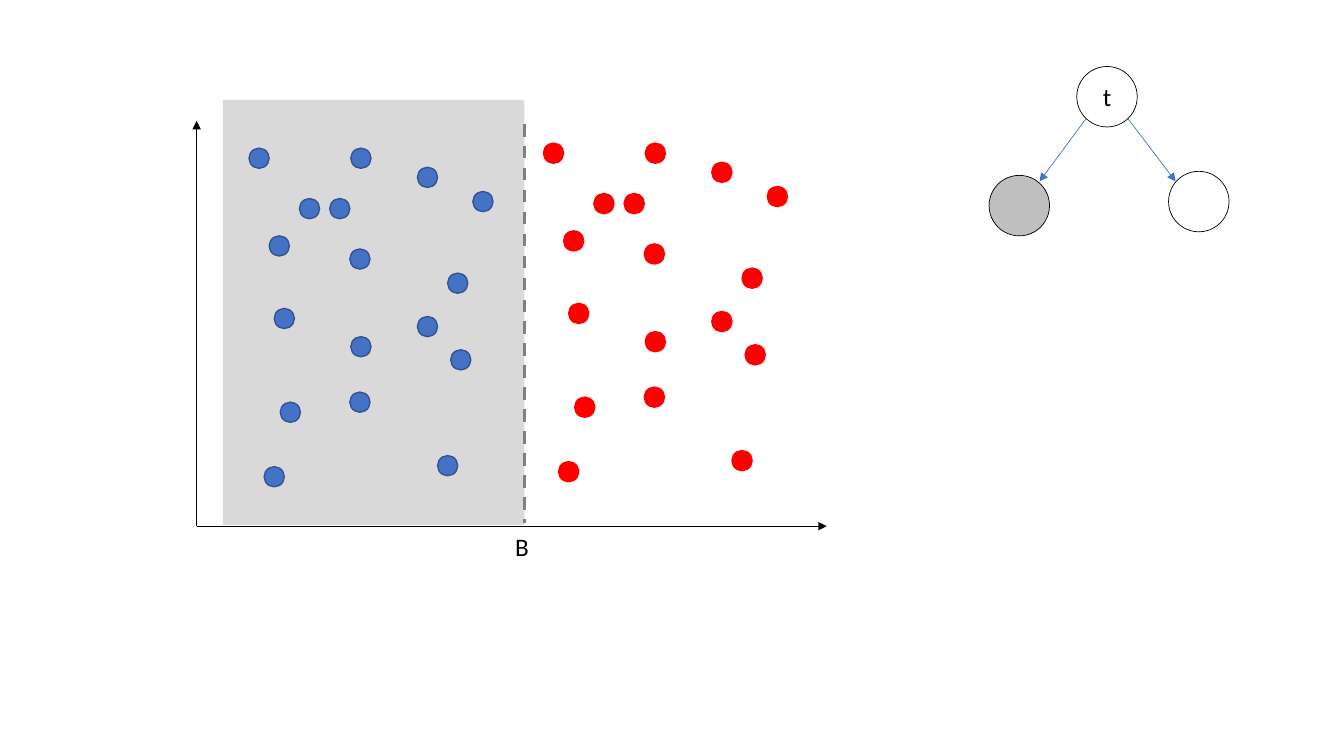
from typing import NamedTuple, Optional

from lxml.etree import SubElement
from pptx import Presentation
from pptx.dml.color import RGBColor
from pptx.enum.dml import MSO_LINE_DASH_STYLE as DASH
from pptx.enum.shapes import MSO_CONNECTOR as CONN, MSO_SHAPE as SHAPE
from pptx.enum.text import MSO_AUTO_SIZE as AUTO
from pptx.oxml.ns import qn
from pptx.util import Inches, Pt

BLACK, GREY, BLUE, RED = "000000", "808080", "4472C4", "FF0000"
DOT_SIZE, NODE_SIZE = 0.2, 0.6
RED_SHIFT = (2.92, -0.05)  # the red cluster repeats the blue one


class Line(NamedTuple):
    start: tuple[float, float]
    end: tuple[float, float]
    color: str = BLACK
    width: float = 0.5
    arrow: bool = True


class Node(NamedTuple):
    x: float
    y: float
    fill: Optional[str] = None


class Label(NamedTuple):
    text: str
    x: float
    y: float
    width: float
    wrap: bool


BLUE_DOTS = [
    (2.47, 1.47), (2.67, 2.34), (3.48, 1.47), (3.27, 1.97), (4.44, 2.71),
    (2.78, 3.99), (2.97, 1.97), (4.14, 1.66), (3.47, 3.89), (3.47, 2.47),
    (3.48, 3.34), (2.72, 3.06), (4.69, 1.9), (4.14, 3.14), (4.34, 4.52),
    (4.47, 3.47), (2.62, 4.63),
]
ORIGIN = (1.95, 5.22)
AXES = [Line(ORIGIN, (1.95, 1.2)), Line(ORIGIN, (8.2, 5.22))]
SPLIT = Line((5.2, 1.23), (5.2, 5.19), GREY, 2.25, arrow=False)
BRANCHES = [
    Line((10.77, 1.18), (10.31, 1.8), BLUE),
    Line((11.19, 1.18), (11.66, 1.8), BLUE),
]
NODES = [Node(10.68, 0.66), Node(9.81, 1.74, "BFBFBF"), Node(11.59, 1.7)]
LABELS = [Label("t", 10.84, 0.76, 0.29, False), Label("B", 5.01, 5.22, 0.37, True)]


def rgb(color: str) -> RGBColor:
    return RGBColor.from_string(color)


def add_shape(s, kind, x: float, y: float, w: float, h: float,
              fill: Optional[str], line: Optional[str] = None, width: float = 1) -> None:
    sp = s.shapes.add_shape(kind, Inches(x), Inches(y), Inches(w), Inches(h))
    sp.shadow.inherit = False
    if fill:
        sp.fill.solid()
        sp.fill.fore_color.rgb = rgb(fill)
    else:
        sp.fill.background()
    if line:
        sp.line.color.rgb = rgb(line)
        sp.line.width = Pt(width)
    else:
        sp.line.fill.background()


def add_line(s, line: Line):
    ends = [Inches(v) for v in line.start + line.end]
    cx = s.shapes.add_connector(CONN.STRAIGHT, *ends)
    cx.line.color.rgb = rgb(line.color)
    cx.line.width = Pt(line.width)
    if line.arrow:
        SubElement(cx.line._get_or_add_ln(), qn("a:tailEnd"), type="triangle")
    SubElement(cx._element.spPr, qn("a:effectLst"))
    return cx


def add_label(s, label: Label) -> None:
    box = s.shapes.add_textbox(Inches(label.x), Inches(label.y),
                               Inches(label.width), Inches(0.4))
    tf = box.text_frame
    tf.word_wrap = label.wrap
    tf.auto_size = AUTO.SHAPE_TO_FIT_TEXT
    r = tf.paragraphs[0].add_run()
    r.text = label.text
    r.font.name = "Calibri"
    r.font.size = Pt(18)
    r.font.color.rgb = rgb(BLACK)


def add_cluster(s, shift: tuple[float, float], fill: str, line: str) -> None:
    dx, dy = shift
    for x, y in BLUE_DOTS:
        add_shape(s, SHAPE.OVAL, x + dx, y + dy, DOT_SIZE, DOT_SIZE, fill, line)


def main() -> None:
    prs = Presentation()
    prs.slide_width, prs.slide_height = Inches(13.33), Inches(7.5)
    s = prs.slides.add_slide(prs.slide_layouts[6])

    # Scatter plot with the shaded left region
    add_shape(s, SHAPE.RECTANGLE, 2.21, 0.99, 2.99, 4.22, "D9D9D9")
    for axis in AXES:
        add_line(s, axis)
    add_cluster(s, (0, 0), BLUE, "325491")
    add_cluster(s, RED_SHIFT, RED, RED)
    add_line(s, SPLIT).line.dash_style = DASH.DASH

    # Decision tree
    for branch in BRANCHES:
        add_line(s, branch)
    for node in NODES:
        add_shape(s, SHAPE.OVAL, node.x, node.y, NODE_SIZE, NODE_SIZE,
                  node.fill, BLACK, 0.5)

    # Labels for the root node and the split value
    for label in LABELS:
        add_label(s, label)

    prs.save("out.pptx")


if __name__ == "__main__":
    main()
